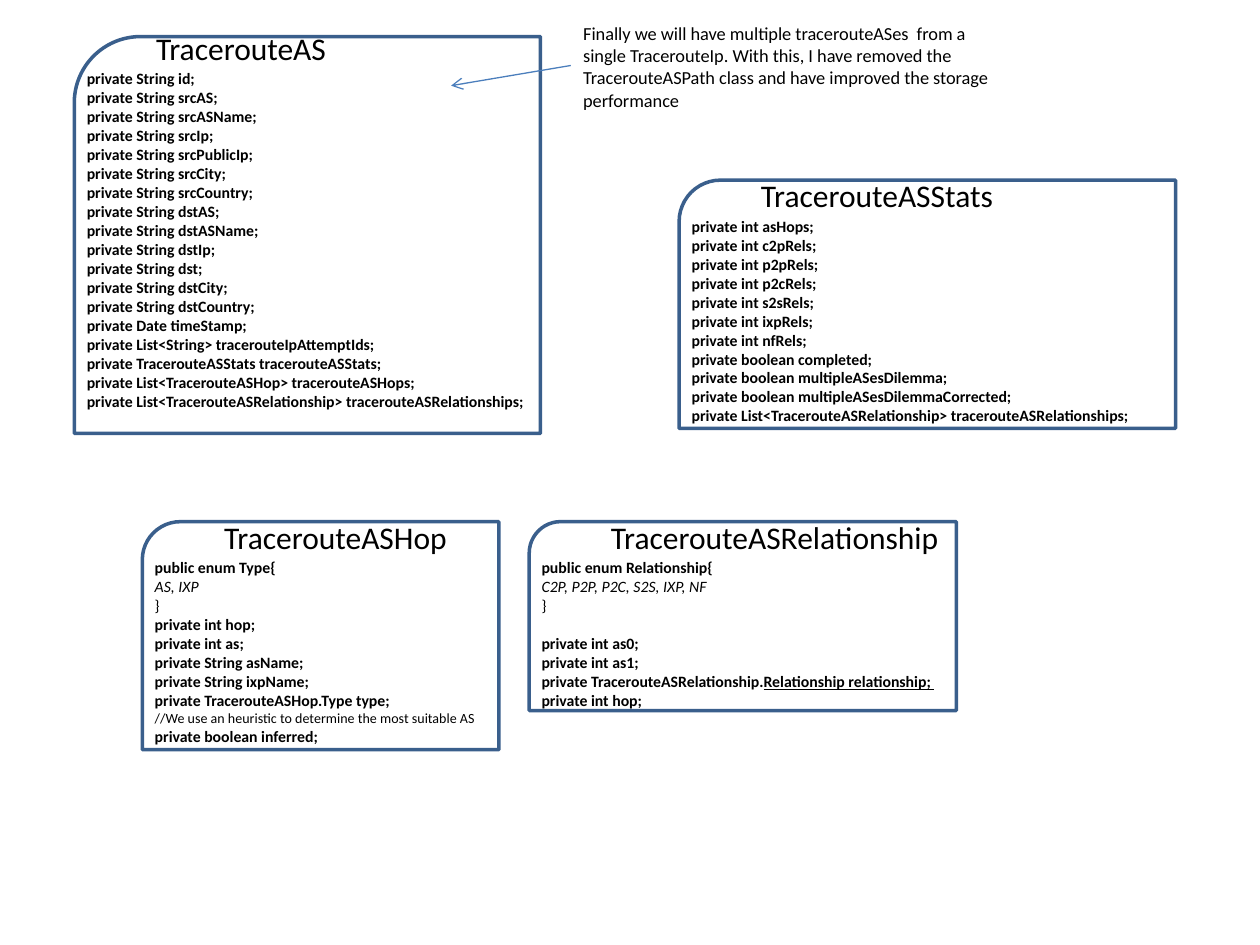
from lxml import etree
from pptx import Presentation
from pptx.dml.color import RGBColor
from pptx.enum import shapes, text
from pptx.oxml.ns import qn
from pptx.util import Inches, Pt


def color(value):
    return RGBColor.from_string(value)


def add_text(left, top, width, height, lines, size, wrap=False):
    box = slide.shapes.add_textbox(Inches(left), Inches(top), Inches(width), Inches(height))
    frame = box.text_frame
    frame.text = "\n".join(lines)
    frame.word_wrap = wrap
    frame.auto_size = text.MSO_AUTO_SIZE.SHAPE_TO_FIT_TEXT
    for paragraph in frame.paragraphs:
        for run in paragraph.runs:
            run.font.name = "Calibri"
            run.font.size = Pt(size)
            run.font.color.rgb = color("000000")
    return frame


presentation = Presentation()
presentation.slide_width = Inches(10)
presentation.slide_height = Inches(7.5)
slide = presentation.slides.add_slide(presentation.slide_layouts[6])

traceroute_fields = [
    *[f"private String {name};" for name in (
        "id", "srcAS", "srcASName", "srcIp", "srcPublicIp", "srcCity", "srcCountry",
        "dstAS", "dstASName", "dstIp", "dst", "dstCity", "dstCountry")],
    "private Date timeStamp;",
    "private List<String> tracerouteIpAttemptIds;",
    "private TracerouteASStats tracerouteASStats;",
    "private List<TracerouteASHop> tracerouteASHops;",
    "private List<TracerouteASRelationship> tracerouteASRelationships;",
]
hop_fields = [
    "public enum Type{", "AS, IXP", "}",
    "private int hop;", "private int as;",
    "private String asName;", "private String ixpName;",
    "private TracerouteASHop.Type type;",
    "//We use an heuristic to determine the most suitable AS",
    "private boolean inferred;",
]
stats_fields = [
    *[f"private int {name};" for name in (
        "asHops", "c2pRels", "p2pRels", "p2cRels", "s2sRels", "ixpRels", "nfRels")],
    *[f"private boolean {name};" for name in (
        "completed", "multipleASesDilemma", "multipleASesDilemmaCorrected")],
    "private List<TracerouteASRelationship> tracerouteASRelationships;",
]
relationship_fields = [
    "public enum Relationship{", "C2P, P2P, P2C, S2S, IXP, NF", "}",
    "private int as0;", "private int as1;",
    "private TracerouteASRelationship.",
    "private int hop;",
]

classes = [
    ("TracerouteAS", 0.59, 0.29, 3.7, 3.15, 0.18, 1.56, 3.75, 2.83, traceroute_fields),
    ("TracerouteASHop", 1.13, 4.14, 2.83, 1.81, 4.06, 1.99, 2.77, 1.6, hop_fields),
    ("TracerouteASStats", 5.39, 1.43, 3.94, 1.97, 1.35, 2.06, 3.75, 1.77, stats_fields),
    ("TracerouteASRelationship", 4.2, 4.14, 3.39, 1.5, 4.06, 2.83, 3.4, 1.31, relationship_fields),
]
for (title, left, top, width, height, title_top, title_width,
     fields_width, fields_height, fields) in classes:
    card = slide.shapes.add_shape(
        shapes.MSO_SHAPE.ROUND_1_RECTANGLE,
        Inches(left), Inches(top), Inches(width), Inches(height))
    card.element.spPr.get_or_add_xfrm().set("flipH", "1")
    card.shadow.inherit = False
    card.fill.background()
    card.line.color.rgb = color("3A5F8C")
    card.line.width = Pt(2)

    add_text(left + 0.55, title_top, title_width, 0.4, [title], 18)
    frame = add_text(left, title_top + 0.32, fields_width, fields_height, fields, 9)
    for paragraph in frame.paragraphs:
        font = paragraph.runs[0].font
        font.bold = paragraph.text.startswith(("private", "public"))
        font.italic = "IXP" in paragraph.text
        if paragraph.text.startswith("//"):
            font.size = Pt(8)
        if paragraph.text == "private int as0;":
            paragraph.space_before = Pt(11)
        if paragraph.text.endswith("."):
            run = paragraph.add_run()
            run.text = "Relationship relationship; "
            run.font.name = "Calibri"
            run.font.size = Pt(9)
            run.font.color.rgb = color("000000")
            run.font.bold = True
            run.font.underline = True

arrow = slide.shapes.add_connector(
    shapes.MSO_CONNECTOR.STRAIGHT, Inches(4.53), Inches(0.52), Inches(3.58), Inches(0.68))
arrow.line.color.rgb = color("4B7EBC")
arrow.line.width = Pt(0.75)
etree.SubElement(arrow.element.spPr.get_or_add_ln(), qn("a:tailEnd"), type="arrow")
etree.SubElement(arrow.element.spPr, qn("a:effectLst"))

add_text(4.53, 0.13, 3.55, 0.81, [
    "Finally we will have multiple tracerouteASes  from a single TracerouteIp. "
    "With this, I have removed the TracerouteASPath class and have improved "
    "the storage performance"], 10.5, wrap=True)

presentation.save("out.pptx")
